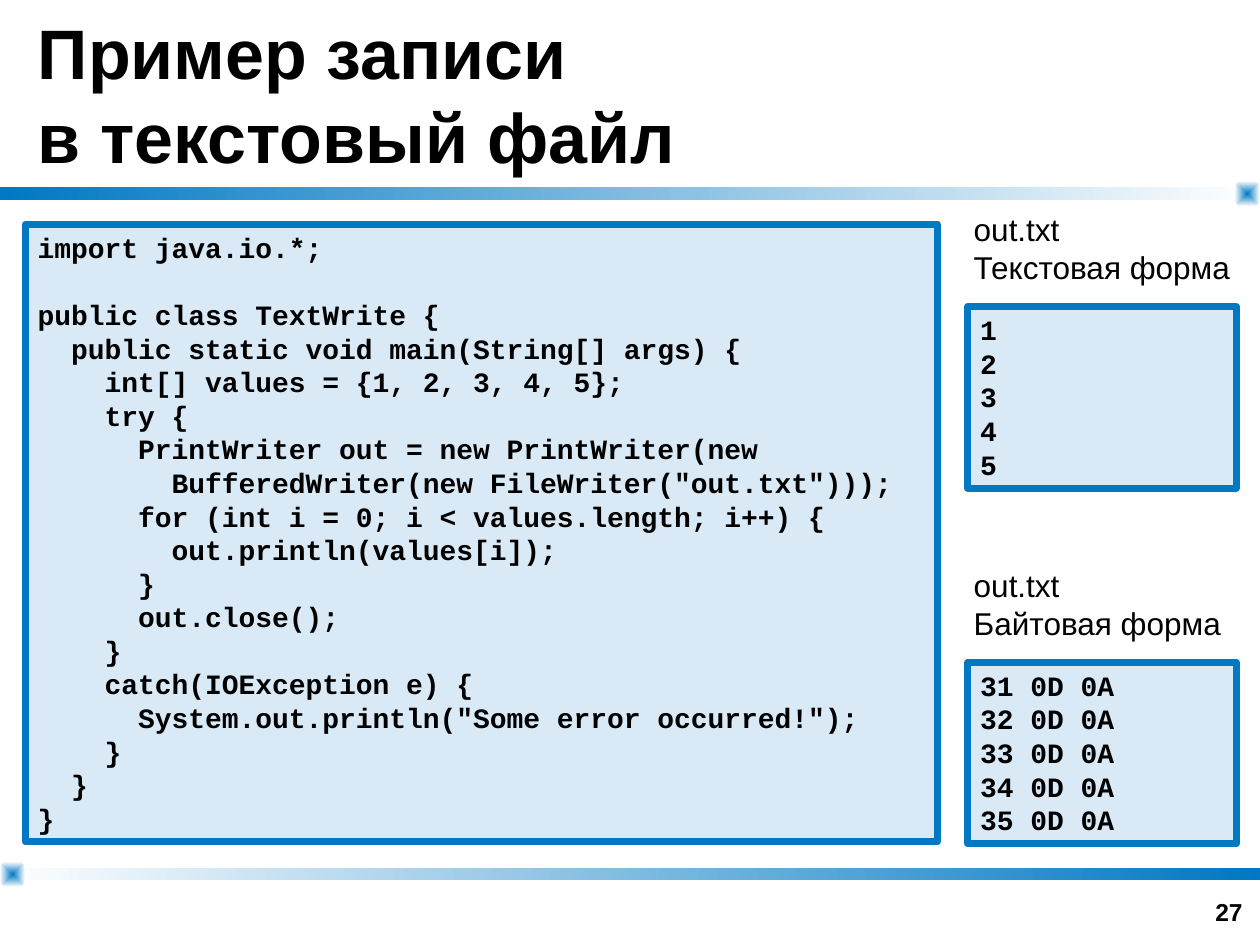
from lxml.etree import SubElement
from pptx import Presentation
from pptx.dml.color import RGBColor
from pptx.enum.shapes import MSO_SHAPE as Shape
from pptx.enum.text import MSO_ANCHOR as Anchor, MSO_AUTO_SIZE as AutoSize, PP_ALIGN as Align
from pptx.oxml.ns import qn
from pptx.util import Cm, Pt

BLUE = RGBColor(0x00, 0x78, 0xC3)
WHITE = RGBColor(0xFF, 0xFF, 0xFF)
BLACK = RGBColor(0x00, 0x00, 0x00)

SLIDE_WIDTH, SLIDE_HEIGHT = 25.4, 19.05
BAR_HEIGHT = 0.25
MARK_SIZE = 0.51
LINE_RATIO = 1.2

PROGRAM = """import java.io.*;

public class TextWrite {
  public static void main(String[] args) {
    int[] values = {1, 2, 3, 4, 5};
    try {
      PrintWriter out = new PrintWriter(new
        BufferedWriter(new FileWriter("out.txt")));
      for (int i = 0; i < values.length; i++) {
        out.println(values[i]);
      }
      out.close();
    }
    catch(IOException e) {
      System.out.println("Some error occurred!");
    }
  }
}"""
FILE_TEXT = "\n".join(str(value) for value in range(1, 6))
FILE_BYTES = "\n".join(f"3{value} 0D 0A" for value in range(1, 6))


def format_paragraph(paragraph, size, font="Arial", bold=False, align=Align.LEFT):
    paragraph.alignment = align
    paragraph.line_spacing = Pt(size * LINE_RATIO)
    for run in paragraph.runs:
        run.font.name = font
        run.font.size = Pt(size)
        run.font.bold = bold
        run.font.color.rgb = BLACK


def write_lines(frame, text, size, **style):
    """Write one paragraph per line; an empty line becomes space before the next."""
    gap = 0
    paragraph = frame.paragraphs[0]
    for number, line in enumerate(text.split("\n")):
        if not line:
            gap += size * LINE_RATIO
            continue
        if number:
            paragraph = frame.add_paragraph()
        paragraph.text = line
        paragraph.space_before = Pt(gap)
        format_paragraph(paragraph, size, **style)
        gap = 0


def add_gradient(slide, kind, left, top, width, height, colors):
    shape = slide.shapes.add_shape(kind, Cm(left), Cm(top), Cm(width), Cm(height))
    shape.shadow.inherit = False
    shape.line.fill.background()
    shape.fill.gradient()
    shape.fill.gradient_angle = 0
    for stop, color in zip(shape.fill.gradient_stops, colors):
        stop.color.rgb = color
    return shape


def add_bar(slide, top, colors):
    add_gradient(slide, Shape.RECTANGLE, 0, top, SLIDE_WIDTH, BAR_HEIGHT, colors)


def add_mark(slide, left, bar_top):
    """Add a rounded square that fades from its centre, centred on a bar."""
    top = bar_top - (MARK_SIZE - BAR_HEIGHT) / 2
    mark = add_gradient(slide, Shape.ROUNDED_RECTANGLE, left, top,
                        MARK_SIZE, MARK_SIZE, (BLUE, WHITE))
    mark.adjustments[0] = 0.32
    gradient = mark.element.spPr.find(qn("a:gradFill"))
    gradient.remove(gradient.find(qn("a:lin")))
    fade = SubElement(gradient, qn("a:path"), {"path": "rect"})
    SubElement(fade, qn("a:fillToRect"), dict.fromkeys("ltrb", "50000"))


def add_title(slide, text):
    title = slide.shapes.title
    title.left, title.top = Cm(0.51), Cm(0)
    title.width, title.height = Cm(24.38), Cm(3.78)
    frame = title.text_frame
    frame.text = text
    frame.auto_size = AutoSize.NONE
    frame.vertical_anchor = Anchor.MIDDLE
    format_paragraph(frame.paragraphs[0], 40, bold=True)


def add_code_box(slide, left, top, width, height, text):
    box = slide.shapes.add_shape(Shape.RECTANGLE, Cm(left), Cm(top), Cm(width), Cm(height))
    box.shadow.inherit = False
    box.fill.solid()
    box.fill.fore_color.rgb = BLUE
    tint = box.element.spPr.find(qn("a:solidFill")).find(qn("a:srgbClr"))
    SubElement(tint, qn("a:alpha"), {"val": "15000"})
    box.line.color.rgb = BLUE
    box.line.width = Pt(4)
    box.text_frame.word_wrap = True
    box.text_frame.vertical_anchor = Anchor.TOP
    write_lines(box.text_frame, text, 16, font="Courier New", bold=True)


def add_label(slide, left, top, width, text):
    label = slide.shapes.add_textbox(Cm(left), Cm(top), Cm(width), Cm(1.78))
    label.text_frame.word_wrap = False
    label.text_frame.auto_size = AutoSize.SHAPE_TO_FIT_TEXT
    write_lines(label.text_frame, text, 18)


def add_page_number(slide, number):
    box = slide.shapes.add_textbox(Cm(19.38), Cm(17.53), Cm(5.92), Cm(1.27))
    box.text_frame.word_wrap = True
    box.text_frame.vertical_anchor = Anchor.BOTTOM
    write_lines(box.text_frame, number, 14, bold=True, align=Align.RIGHT)


def main():
    deck = Presentation()
    deck.slide_width, deck.slide_height = Cm(SLIDE_WIDTH), Cm(SLIDE_HEIGHT)
    slide = deck.slides.add_slide(deck.slide_layouts[5])

    header_top, footer_top = 3.78, 17.5
    add_bar(slide, header_top, (BLUE, WHITE))
    add_bar(slide, footer_top, (WHITE, BLUE))
    add_mark(slide, SLIDE_WIDTH - MARK_SIZE, header_top)
    add_mark(slide, 0, footer_top)
    add_page_number(slide, "27")
    add_title(slide, "Пример записи \vв текстовый файл")

    add_code_box(slide, 0.51, 4.52, 18.39, 12.45, PROGRAM)
    views = (
        (4.11, 5.72, "Текстовая форма", FILE_TEXT),
        (11.28, 5.51, "Байтовая форма", FILE_BYTES),
    )
    for top, label_width, caption, content in views:
        add_code_box(slide, 19.51, top + 2.07, 5.41, 3.66, content)
        add_label(slide, 19.38, top, label_width, f"out.txt\n{caption}")

    deck.save("out.pptx")


if __name__ == "__main__":
    main()
